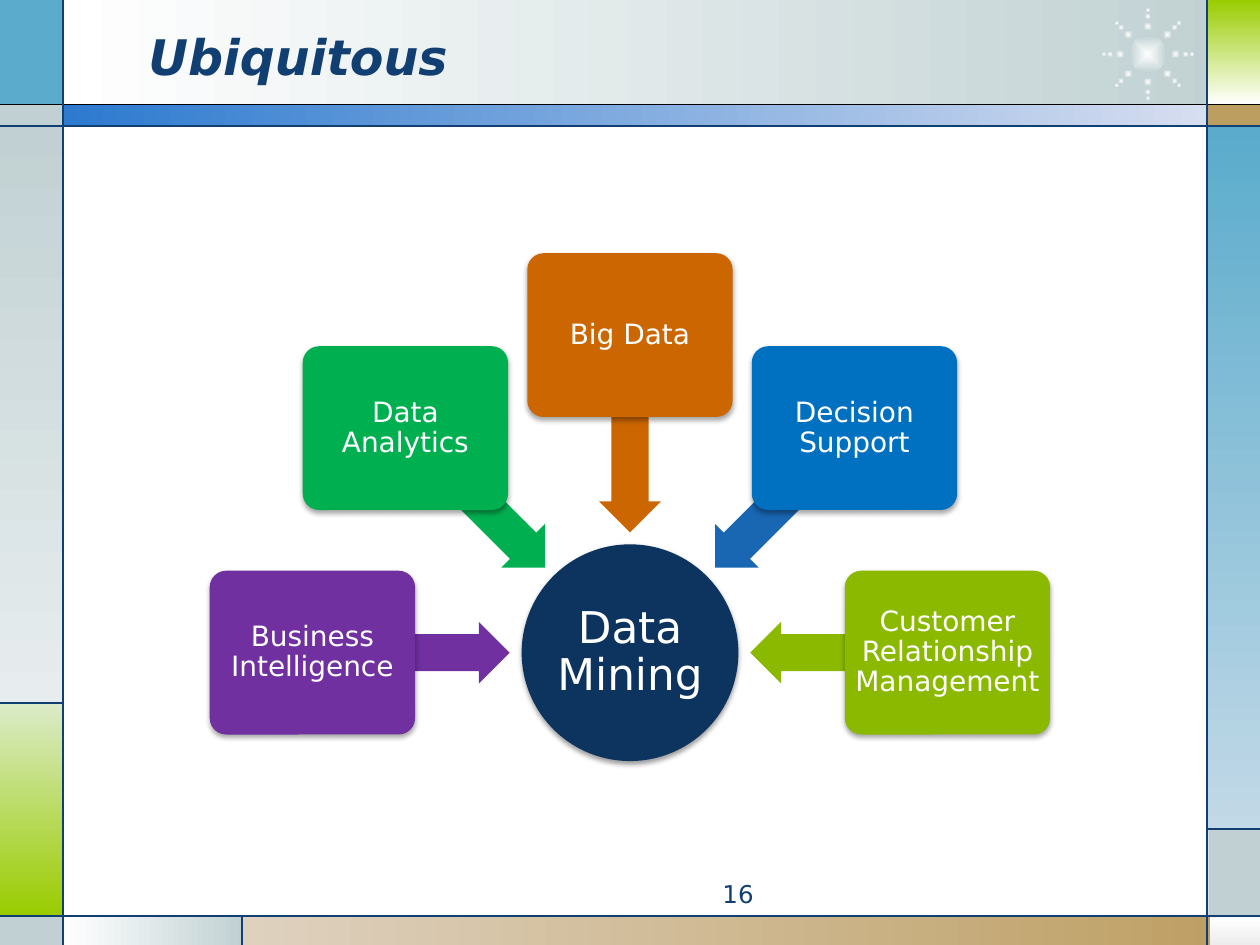
from math import cos, radians, sin

from lxml.etree import SubElement
from pptx import Presentation
from pptx.dml.color import RGBColor
from pptx.enum.shapes import MSO_CONNECTOR, MSO_SHAPE as Shape
from pptx.enum.text import MSO_ANCHOR as Anchor, PP_ALIGN as Align
from pptx.oxml.ns import qn
from pptx.util import Inches, Pt

FONT = "DejaVu Sans"
WHITE = RGBColor(0xFF, 0xFF, 0xFF)
BLACK = RGBColor(0, 0, 0)
NAVY = RGBColor(0x11, 0x3F, 0x71)
DEEP_NAVY = RGBColor(0x0D, 0x34, 0x5F)
MIST = RGBColor(0xC1, 0xD1, 0xD3)
PALE_MIST = RGBColor(0xE7, 0xED, 0xEE)
SKY = RGBColor(0x5A, 0xAB, 0xCC)
PALE_SKY = RGBColor(0xC2, 0xD9, 0xE7)
LIME = RGBColor(0x99, 0xCC, 0x00)
PALE_LIME = RGBColor(0xDB, 0xEB, 0xC9)
TAN = RGBColor(0xBD, 0x9E, 0x61)
PALE_TAN = RGBColor(0xDE, 0xD1, 0xBF)
GREY = RGBColor(0xED, 0xED, 0xED)
BLUE = RGBColor(0x2D, 0x7A, 0xCF)
PALE_BLUE = RGBColor(0xD7, 0xDE, 0xF0)
PURPLE = RGBColor(0x70, 0x30, 0xA0)
GREEN = RGBColor(0x00, 0xB0, 0x50)
ORANGE = RGBColor(0xCC, 0x66, 0x00)
AZURE = RGBColor(0x00, 0x70, 0xC0)
ARROW_BLUE = RGBColor(0x19, 0x66, 0xB3)
OLIVE = RGBColor(0x8A, 0xB9, 0x00)

# left, top, width, height, colours, gradient angle (counter-clockwise)
ACROSS, DOWN = 0, 270
PANELS = [
    (0.5, 0, 9.27, 0.84, (WHITE, MIST), ACROSS),
    (0, 0, 0.5, 0.84, (SKY,), None),
    (0, 0.83, 0.5, 0.17, (MIST,), None),
    (0, 1, 0.5, 4.58, (MIST, PALE_MIST), DOWN),
    (0, 5.58, 0.5, 1.69, (PALE_LIME, LIME), DOWN),
    (0, 7.27, 0.5, 0.23, (MIST,), None),
    (0.5, 7.27, 1.43, 0.23, (WHITE, MIST), ACROSS),
    (1.92, 7.27, 8.08, 0.23, (PALE_TAN, TAN), ACROSS),
    (9.6, 7.27, 0.4, 0.23, (WHITE, GREY), DOWN),
    (9.59, 6.58, 0.41, 0.7, (MIST,), None),
    (9.58, 1, 0.42, 5.58, (SKY, PALE_SKY), DOWN),
    (9.58, 0.83, 0.42, 0.17, (TAN,), None),
    (9.59, 0, 0.41, 0.83, (LIME, WHITE), DOWN),
    (0.5, 0.83, 9.09, 0.17, (BLUE, PALE_BLUE), ACROSS),
]
RULES = [
    (0, 0.83, 10, 0.83, BLACK),
    (0, 1, 10, 1, NAVY),
    (0, 7.27, 10, 7.27, NAVY),
    (0.5, 0, 0.5, 7.5, NAVY),
    (9.58, 0, 9.58, 7.5, NAVY),
    (0, 5.58, 0.5, 5.58, NAVY),
    (1.92, 7.27, 1.92, 7.5, NAVY),
    (9.58, 6.58, 10, 6.58, NAVY),
]

HUB = (5, 5.18)
TOPIC_RADIUS, ARROW_RADIUS = 2.52, 1.74
TOPICS = [
    ("Business Intelligence", PURPLE, PURPLE),
    ("Data Analytics", GREEN, GREEN),
    ("Big Data", ORANGE, ORANGE),
    ("Decision Support", AZURE, ARROW_BLUE),
    ("Customer Relationship Management", OLIVE, OLIVE),
]


def add_block(page, kind, left, top, width, height, colours, angle=None):
    """A borderless shape, with a gradient when two colours are given."""
    block = page.shapes.add_shape(
        kind, Inches(left), Inches(top), Inches(width), Inches(height))
    block.shadow.inherit = False
    block.line.fill.background()
    if len(colours) == 1:
        block.fill.solid()
        block.fill.fore_color.rgb = colours[0]
    else:
        block.fill.gradient()
        for stop, colour in zip(block.fill.gradient_stops, colours):
            stop.color.rgb = colour
        block.fill.gradient_angle = angle or 0
    return block


def add_centred(page, kind, centre, width, height, colours):
    x, y = centre
    return add_block(page, kind, x - width / 2, y - height / 2, width, height, colours)


def around(centre, radius, degrees):
    """Point on a circle, measured clockwise from the right."""
    turn = radians(degrees)
    return centre[0] + radius * cos(turn), centre[1] + radius * sin(turn)


def add_rule(page, x1, y1, x2, y2, colour):
    rule = page.shapes.add_connector(
        MSO_CONNECTOR.STRAIGHT, Inches(x1), Inches(y1), Inches(x2), Inches(y2))
    rule.line.color.rgb = colour
    rule.line.width = Pt(0.75)
    SubElement(rule._element.spPr, qn("a:effectLst"))


def add_glow(page, centre, size):
    """A dot that fades from a white middle."""
    dot = add_centred(page, Shape.OVAL, centre, size, size, (WHITE, MIST))
    gradient = dot._element.spPr.find(qn("a:gradFill"))
    gradient.remove(gradient.find(qn("a:lin")))
    fade = SubElement(gradient, qn("a:path"), path="shape")
    SubElement(fade, qn("a:fillToRect"), l="50000", t="50000", r="50000", b="50000")


def add_sunburst(page):
    centre = (9.11, 0.43)
    add_glow(page, centre, 0.3)
    for ray in range(8):
        for radius, size in ((0.22, 0.07), (0.3, 0.05), (0.35, 0.04)):
            add_glow(page, around(centre, radius, ray * 45), size)


def add_shadow(block, opacity):
    effects = block._element.spPr.find(qn("a:effectLst"))
    shadow = SubElement(effects, qn("a:outerShdw"), blurRad=str(Pt(3.1)),
                        dist=str(Pt(1.7)), dir="5400000", rotWithShape="0")
    colour = SubElement(shadow, qn("a:srgbClr"), val="000000")
    SubElement(colour, qn("a:alpha"), val=str(opacity * 1000))


def write(box, text, size, colour, align, anchor, inset=None):
    frame = box.text_frame
    frame.word_wrap = True
    frame.vertical_anchor = anchor
    if inset is not None:
        frame.margin_left = frame.margin_right = Inches(inset)
        frame.margin_top = frame.margin_bottom = Inches(inset)
    para = frame.paragraphs[0]
    para.text = text
    para.alignment = align
    para.font.name = FONT
    para.font.size = Pt(size)
    para.font.color.rgb = colour
    return para


def add_text(page, left, top, width, height, *style):
    box = page.shapes.add_textbox(
        Inches(left), Inches(top), Inches(width), Inches(height))
    return write(box, *style)


def add_label(block, text, size, inset):
    para = write(block, text, size, WHITE, Align.CENTER, Anchor.MIDDLE, inset)
    para.line_spacing = 0.9


def add_hub(page):
    hub = add_centred(page, Shape.OVAL, HUB, 1.72, 1.72, (DEEP_NAVY,))
    add_shadow(hub, 38)
    add_label(hub, "Data Mining", 25, 0.02)


def add_topic(page, degrees, text, colour, arrow_colour):
    """A topic box with an arrow that points to the hub."""
    arrow = add_centred(page, Shape.LEFT_ARROW, around(HUB, ARROW_RADIUS, degrees),
                        1.57, 0.49, (arrow_colour,))
    arrow.adjustments[0] = 0.6
    arrow.rotation = degrees % 360
    topic = add_centred(page, Shape.ROUNDED_RECTANGLE,
                        around(HUB, TOPIC_RADIUS, degrees), 1.63, 1.3, (colour,))
    topic.adjustments[0] = 0.1
    add_shadow(topic, 35)
    add_label(topic, text, 16, 0.03)


def main():
    deck = Presentation()
    deck.slide_width, deck.slide_height = Inches(10), Inches(7.5)
    page = deck.slides.add_slide(deck.slide_layouts[6])
    for panel in PANELS:
        add_block(page, Shape.RECTANGLE, *panel)
    add_sunburst(page)
    for rule in RULES:
        add_rule(page, *rule)
    title = add_text(page, 1.08, 0.13, 7.33, 0.62,
                     "Ubiquitous", 28, NAVY, Align.LEFT, Anchor.MIDDLE)
    title.font.bold = title.font.italic = True
    add_text(page, 3.75, 6.93, 2.33, 0.27, "16", 14, NAVY, Align.RIGHT, Anchor.TOP)
    add_hub(page)
    for index, topic in enumerate(TOPICS):
        add_topic(page, 180 + index * 45, *topic)
    deck.save("out.pptx")


if __name__ == "__main__":
    main()
